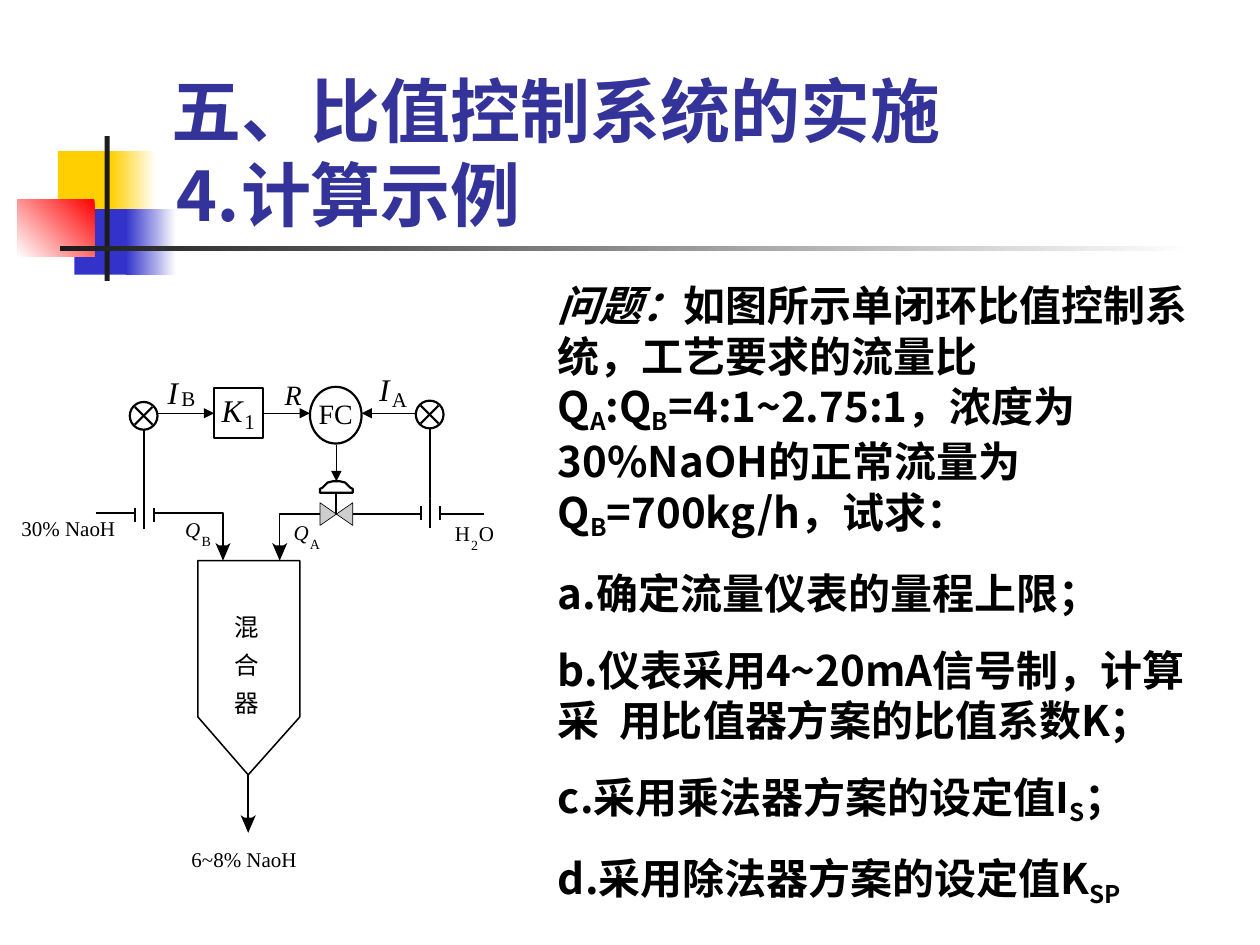
"""Builds a slide on a worked example of ratio control."""
import dataclasses

import lxml.etree
import pptx
import pptx.dml.color
import pptx.enum.shapes
import pptx.enum.text
import pptx.oxml.ns
import pptx.util

PX = 9144
RGB = pptx.dml.color.RGBColor
SHAPES = pptx.enum.shapes.MSO_SHAPE
BLACK = RGB(0, 0, 0)
WHITE = RGB(255, 255, 255)
YELLOW = RGB(0xFF, 0xCF, 0x01)
BLUE = RGB(0x33, 0x33, 0xCC)
RED = RGB(255, 0, 0)
CHARCOAL = RGB(0x1C, 0x1C, 0x1C)
VALVE_GREY = RGB(0xCD, 0xCD, 0xCD)
TITLE_BLUE = RGB(0x33, 0x33, 0x99)
CJK = "Noto Sans CJK SC"
SERIF = "Times New Roman"


def add_run(paragraph, text, font_name, size, color, bold=False, italic=False, subscript=False):
    """Append one formatted run to a paragraph."""
    run = paragraph.add_run()
    run.text = text
    font = run.font
    font.name, font.size, font.bold, font.italic = font_name, pptx.util.Pt(size), bold, italic
    font.color.rgb = color
    properties = run._r.get_or_add_rPr()
    lxml.etree.SubElement(properties, pptx.oxml.ns.qn("a:ea")).set("typeface", CJK)
    if subscript:
        properties.set("baseline", "-20000")


@dataclasses.dataclass
class Region:
    """Draws shapes at px offsets from its own top left corner."""

    slide: object
    left: int
    top: int

    def point(self, x, y):
        """Return the slide position of an offset in EMU."""
        return (self.left + x) * PX, (self.top + y) * PX

    def style(self, shape, fill, line_width):
        """Set a shape's fill and black outline, either of which may be absent."""
        shape.shadow.inherit = False
        if fill is None:
            shape.fill.background()
        else:
            shape.fill.solid()
            shape.fill.fore_color.rgb = fill
        if line_width:
            shape.line.color.rgb = BLACK
            shape.line.width = pptx.util.Pt(line_width)
        else:
            shape.line.fill.background()

    def shape(self, kind, x, y, width, height, fill=WHITE, line_width=0):
        """Add a preset shape."""
        shape = self.slide.shapes.add_shape(kind, *self.point(x, y), width * PX, height * PX)
        self.style(shape, fill, line_width)
        return shape

    def gradient(self, x, y, width, height, colors, angle=180):
        """Add a rectangle with a two-colour gradient."""
        shape = self.shape(SHAPES.RECTANGLE, x, y, width, height)
        shape.fill.gradient()
        shape.fill.gradient_angle = angle
        for stop, color in zip(shape.fill.gradient_stops, colors):
            stop.color.rgb = color

    def outline(self, points, fill=None, line_width=0, close=True):
        """Add a freeform through the given points."""
        start, *rest = [(self.left + x, self.top + y) for x, y in points]
        builder = self.slide.shapes.build_freeform(*start, scale=PX)
        builder.add_line_segments(rest, close=close)
        self.style(builder.convert_to_shape(), fill, line_width)

    def line(self, x1, y1, x2, y2, width=1.25, arrow=False):
        """Add a straight connector, with an optional arrowhead at its end."""
        connector = self.slide.shapes.add_connector(
            pptx.enum.shapes.MSO_CONNECTOR.STRAIGHT, *self.point(x1, y1), *self.point(x2, y2))
        connector.line.color.rgb = BLACK
        connector.line.width = pptx.util.Pt(width)
        properties = connector._element.spPr
        if arrow:
            tail = lxml.etree.SubElement(properties.get_or_add_ln(), pptx.oxml.ns.qn("a:tailEnd"))
            tail.set("type", "triangle")
        lxml.etree.SubElement(properties, pptx.oxml.ns.qn("a:effectLst"))
        return connector

    def text_frame(self, x, y, width, height, wrap=True):
        """Add a text box and return its text frame."""
        box = self.slide.shapes.add_textbox(*self.point(x, y), width * PX, height * PX)
        box.text_frame.word_wrap = wrap
        return box.text_frame

    def label(self, text, x, y, width, size, italic=False, font_name=SERIF):
        """Add a one-line label without margins that grows with its text."""
        frame = self.text_frame(x, y, width, round(size * 1.65), wrap=False)
        frame.auto_size = pptx.enum.text.MSO_AUTO_SIZE.SHAPE_TO_FIT_TEXT
        frame.margin_left = frame.margin_right = frame.margin_top = frame.margin_bottom = 0
        add_run(frame.paragraphs[0], text, font_name, size, BLACK, italic=italic)

    def arrowhead(self, x, y):
        """Add a downward barbed arrowhead with its tip at the point."""
        barb = [(0, 0), (-6, -14), (-3, -12), (3, -12), (6, -14)]
        self.outline([(x + dx, y + dy) for dx, dy in barb], BLACK)


def draw_ornament(region):
    """Draw the coloured blocks and the crossing rules beside the title."""
    region.shape(SHAPES.RECTANGLE, 32, 12, 48, 52, YELLOW)
    region.gradient(74, 12, 36, 52, (WHITE, YELLOW))
    region.shape(SHAPES.RECTANGLE, 45, 58, 46, 52, BLUE)
    region.gradient(86, 58, 40, 52, (WHITE, BLUE))
    region.gradient(0, 50, 61, 46, (RED, WHITE), 225)
    region.shape(SHAPES.RECTANGLE, 69, 0, 4, 115, CHARCOAL)
    region.gradient(34, 87, 900, 4, (WHITE, CHARCOAL))


def write_title(region, width, height):
    """Write the two-line title, standing on the bottom of its box."""
    frame = region.text_frame(0, 0, width, height)
    frame.vertical_anchor = pptx.enum.text.MSO_ANCHOR.BOTTOM
    paragraph = frame.paragraphs[0]
    add_run(paragraph, "五、比值控制系统的实施", "Cabin", 40, TITLE_BLUE, bold=True)
    paragraph.add_line_break()
    add_run(paragraph, "⒋计算示例", "Cabin", 40, TITLE_BLUE, bold=True)


def write_problem(region, width, height):
    """Write the problem statement and its four questions."""
    statements = [
        [("问题：", "italic"), ("如图所示单闭环比值控制系统，工艺要求的流量比Q", ""),
         ("A", "subscript"), (":Q", ""), ("B", "subscript"),
         ("=4:1~2.75:1，浓度为30%NaOH的正常流量为Q", ""), ("B", "subscript"),
         ("=700kg/h，试求：", "")],
        [("a.确定流量仪表的量程上限；", "")],
        [("b.仪表采用4~20mA信号制，计算采  用比值器方案的比值系数K；", "")],
        [("c.采用乘法器方案的设定值I", ""), ("S", "subscript"), ("；", "")],
        [("d.采用除法器方案的设定值K", ""), ("SP", "subscript")],
    ]
    frame = region.text_frame(0, 0, width, height)
    for index, runs in enumerate(statements):
        paragraph = frame.add_paragraph() if index else frame.paragraphs[0]
        if index:
            paragraph.space_before = pptx.util.Pt(15)
        for text, mark in runs:
            add_run(paragraph, text, CJK, 24, BLACK, bold=True,
                    italic=mark == "italic", subscript=mark == "subscript")


def draw_flow_meter(region, x, y):
    """Draw a transmitter centred on the point, with its orifice below."""
    region.line(x, y + 11, x, y + 67)
    region.shape(SHAPES.OVAL, x - 11, y - 11, 22, 22, WHITE, 1.25)
    region.line(x + 7, y - 7, x - 7, y + 7)
    region.line(x - 7, y - 7, x + 7, y + 7)
    region.shape(SHAPES.RECTANGLE, x - 7, y + 67, 15, 23)
    region.line(x, y + 67, x, y + 90)
    for side in (x - 7, x + 8):
        region.line(side, y + 73, side, y + 84)


def draw_valve(region, x, y):
    """Draw a control valve centred on the point, with its dome above."""
    region.outline([(x + 13, y + 9), (x + 13, y - 9), (x - 13, y + 9), (x - 13, y - 9)],
                   VALVE_GREY, 0.37)
    region.line(x, y, x, y - 17)
    rise = [(13, 17), (13, 20), (11, 21), (9, 23), (7, 25), (3, 26)]
    dome = [(-dx, dy) for dx, dy in rise] + rise[::-1]
    region.outline([(x + dx, y - dy) for dx, dy in dome], None, 1.25)


def draw_flow_diagram(region):
    """Draw the mixing vessel with its pipes and ratio control loop."""
    region.outline([(180, 321), (140, 275), (140, 151), (221, 151), (221, 275)], WHITE, 0.88)
    region.outline([(59, 113), (160, 113), (160, 141)], None, 0.88, close=False)
    region.outline([(205, 140), (205, 114), (367, 114)], None, 0.88, close=False)
    region.line(180, 321, 180, 357, 0.88)
    for tip in ((160, 151), (205, 151), (180, 367)):
        region.arrowhead(*tip)
    draw_flow_meter(region, 97, 36)
    draw_flow_meter(region, 324, 35)
    draw_valve(region, 250, 114)
    ratio_station = region.shape(SHAPES.RECTANGLE, 153, 14, 39, 40, WHITE, 1.25)
    region.shape(SHAPES.OVAL, 229, 13, 41, 45, WHITE, 1.25)
    region.line(108, 34, 153, 34, 0.75, arrow=True).end_connect(ratio_station, 1)
    region.line(192, 34, 229, 34, 0.75, arrow=True).begin_connect(ratio_station, 3)
    region.line(313, 34, 270, 34, 0.75, arrow=True)
    region.line(250, 59, 250, 88, 0.75, arrow=True)
    for label in (
            ("I", 116, 2, 8, 18, True), ("B", 127, 12, 11, 12),
            ("I", 284, 0, 8, 18, True), ("A", 294, 13, 12, 12),
            ("R", 209, 6, 14, 16, True), ("FC", 236, 21, 30, 16),
            ("K", 159, 16, 17, 18, True), ("1", 177, 30, 8, 12),
            ("Q", 130, 116, 12, 12, True), ("B", 143, 129, 8, 8),
            ("Q", 216, 118, 12, 12, True), ("A", 229, 131, 8, 8),
            ("H", 344, 119, 12, 12), ("2", 357, 132, 6, 8), ("O", 363, 119, 12, 12),
            ("30% NaoH", 0, 115, 75, 12), ("6~8% NaoH", 135, 378, 84, 12)):
        region.label(*label)
    for row, character in enumerate("混合器"):
        region.label(character, 169, 192 + 30 * row, 20, 14, font_name=CJK)


def main():
    """Build the slide and save it."""
    presentation = pptx.Presentation()
    presentation.slide_width, presentation.slide_height = 1000 * PX, 750 * PX
    slide = presentation.slides.add_slide(presentation.slide_layouts[6])
    draw_ornament(Region(slide, 14, 108))
    write_title(Region(slide, 126, 67), 852, 125)
    write_problem(Region(slide, 433, 217), 542, 509)
    draw_flow_diagram(Region(slide, 17, 294))
    presentation.save("out.pptx")


if __name__ == "__main__":
    main()
